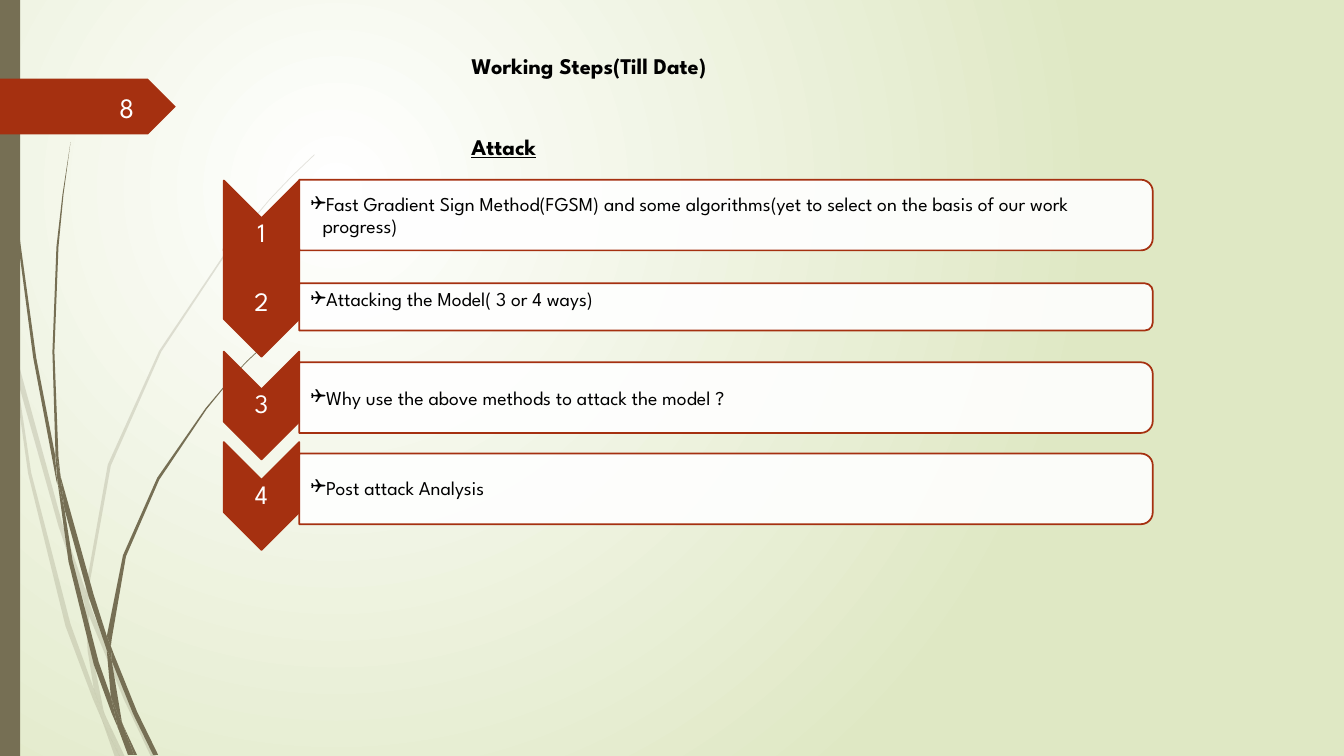
import lxml.etree
import pptx
import pptx.dml.color
import pptx.enum.shapes
import pptx.enum.text
import pptx.oxml.ns
import pptx.util

Cm = pptx.util.Cm
Pt = pptx.util.Pt
RGBColor = pptx.dml.color.RGBColor
SHAPE = pptx.enum.shapes.MSO_SHAPE
ALIGN = pptx.enum.text.PP_ALIGN
ANCHOR = pptx.enum.text.MSO_ANCHOR
qn = pptx.oxml.ns.qn

OLIVE = RGBColor(0x76, 0x6F, 0x54)
RUST = RGBColor(0xA5, 0x30, 0x10)
WHITE = RGBColor(0xFF, 0xFF, 0xFF)
BLACK = RGBColor(0, 0, 0)
PALE_GREEN = RGBColor(0xDF, 0xE8, 0xC4)
FONT = "League Spartan"

SLIDE_WIDTH, SLIDE_HEIGHT = 33.87, 19.05
WISP_UNIT = Cm(2.54) / 100

BACK_WISPS = [
    [(11, 350), (9, 322), (0, 282), (0, 299), (10, 344)],
    [(58, 522), (84, 599), (85, 586), (62, 520), (14, 345), (17, 376)],
    [(92, 607), (88, 596), (88, 610), (123, 694), (150, 751), (155, 751), (127, 692)],
    [(119, 751), (124, 751), (105, 711)],
    [(93, 683), (70, 619), (31, 469), (17, 376), (11, 350), (28, 470), (65, 621), (92, 693),
     (101, 714), (99, 707)],
    [(84, 599), (87, 646), (93, 683), (96, 692), (105, 711), (103, 706), (91, 646), (88, 610),
     (88, 608)],
    [(88, 584), (110, 462), (160, 349), (229, 245), (268, 198), (290, 175), (312, 154), (312, 153),
     (289, 175), (268, 197), (228, 244), (158, 348), (107, 461), (85, 584), (85, 586), (88, 596)],
    [(101, 714), (114, 751), (119, 751)],
    [(88, 608), (88, 610), (88, 596), (85, 586), (84, 599)],
    [(96, 692), (93, 683), (99, 707), (101, 714), (119, 751), (105, 711)],
]
FRONT_WISPS = [
    [(7, 110), (17, 233), (33, 355), (56, 477), (57, 481), (55, 457), (55, 453), (36, 355),
     (19, 232), (8, 109), (5, 48), (4, 0), (3, 0), (4, 48)],
    [(88, 592), (106, 645), (106, 633), (106, 631), (93, 590), (60, 472), (64, 505)],
    [(113, 649), (110, 641), (111, 656), (132, 708), (152, 749), (157, 749), (136, 706)],
    [(110, 691), (98, 657), (72, 556), (64, 505), (57, 477), (68, 557), (93, 659), (111, 708),
     (117, 722), (116, 717)],
    [(60, 472), (58, 453), (54, 349), (58, 245), (63, 193), (70, 141), (62, 193), (56, 245),
     (52, 349), (55, 449)],
    [(133, 749), (136, 749), (122, 719)],
    [(57, 477), (64, 505), (60, 472), (55, 449), (55, 453)],
    [(111, 633), (125, 552), (158, 476), (205, 406), (231, 374), (245, 359), (261, 344), (260, 344),
     (245, 358), (231, 373), (204, 405), (156, 474), (122, 551), (106, 631), (110, 641)],
    [(117, 722), (127, 749), (131, 749)],
    [(106, 645), (110, 691), (116, 706), (122, 719), (121, 716), (111, 656), (109, 651)],
    [(106, 645), (109, 651), (111, 656), (110, 641), (106, 631), (106, 633)],
    [(116, 706), (110, 691), (116, 717), (117, 722), (130, 749), (133, 749), (122, 719)],
]
STEPS = [
    ("Fast Gradient Sign Method(FGSM) and some algorithms(yet to select on the basis of our work progress)",
     4.55, 4.53, 1.78, 0.09, 0.03),
    ("Attacking the Model( 3 or 4 ways)", 6.27, 7.14, 1.19, 0.03, 0.35),
    ("Why use the above methods to attack the model ?", 8.86, 9.13, 1.78, 0.11, 0.03),
    ("Post attack Analysis", 11.14, 11.43, 1.78, 0.05, 0.03),
]


def paint(shape, color, opacity=100, outline=None):
    shape.shadow.inherit = False
    shape.fill.solid()
    shape.fill.fore_color.rgb = color
    if opacity < 100:
        tint = shape._element.spPr.find(qn("a:solidFill"))[0]
        lxml.etree.SubElement(tint, qn("a:alpha"), val=str(opacity * 1000))
    if outline is None:
        shape.line.fill.background()
    else:
        shape.line.color.rgb = outline
        shape.line.width = Pt(1.25)


def lay_out(frame, anchor, margins):
    frame.word_wrap = True
    frame.auto_size = pptx.enum.text.MSO_AUTO_SIZE.NONE
    frame.vertical_anchor = anchor
    frame.margin_left, frame.margin_top, frame.margin_right, frame.margin_bottom = map(Cm, margins)


def write(paragraph, words, size, color, align, bold=None, underline=None):
    paragraph.alignment = align
    run = paragraph.add_run()
    run.text = words
    run.font.name = FONT
    run.font.size = Pt(size)
    run.font.color.rgb = color
    run.font.bold = bold
    run.font.underline = underline


def text_box(slide, left, top, width, height, margins):
    frame = slide.shapes.add_textbox(Cm(left), Cm(top), Cm(width), Cm(height)).text_frame
    lay_out(frame, ANCHOR.MIDDLE, margins)
    return frame.paragraphs[0]


def indent(paragraph, left, first_line):
    properties = paragraph._p.get_or_add_pPr()
    properties.set("marL", str(Cm(left)))
    properties.set("indent", str(Cm(first_line)))
    return properties


def quarter_turned(slide, preset, left, top, width, height):
    unturned_left = left + (width - height) / 2
    unturned_top = top + (height - width) / 2
    shape = slide.shapes.add_shape(preset, Cm(unturned_left), Cm(unturned_top), Cm(height), Cm(width))
    shape.rotation = 90
    return shape


def backdrop(slide):
    fill = slide.background.fill
    fill.gradient()
    for stop, color, position in zip(fill.gradient_stops, (WHITE, PALE_GREEN), (0, 1)):
        stop.color.rgb = color
        stop.position = position
    gradient = slide._element.find(".//" + qn("a:gradFill"))
    circle = lxml.etree.Element(qn("a:path"), path="circle")
    lxml.etree.SubElement(circle, qn("a:fillToRect"), l="50000", t="50000", r="100000", b="100000")
    gradient.replace(gradient.find(qn("a:lin")), circle)


def side_decoration(slide, width, height):
    for wisps, opacity in ((BACK_WISPS, 20), (FRONT_WISPS, 100)):
        for corners in wisps:
            builder = slide.shapes.build_freeform(*corners[0], scale=WISP_UNIT)
            builder.add_line_segments(corners[1:], close=True)
            paint(builder.convert_to_shape(), OLIVE, opacity)
    band = slide.shapes.add_shape(SHAPE.RECTANGLE, 0, 0, Cm(width), Cm(height))
    paint(band, OLIVE)


def page_tag(slide, left, top, width, height):
    tag = slide.shapes.add_shape(SHAPE.PENTAGON, Cm(left), Cm(top), Cm(width), Cm(height))
    paint(tag, RUST)
    number = text_box(slide, left + 1.48, top + 0.22, 2.16, 1.02, (0.25, 0.13, 0.25, 0.13))
    write(number, "8", 20, WHITE, ALIGN.RIGHT)


def heading(slide, left, top, width, height):
    title = slide.shapes.title
    title.left, title.top, title.width, title.height = Cm(left), Cm(top), Cm(width), Cm(height)
    frame = title.text_frame
    lay_out(frame, ANCHOR.TOP, (0.25, 0.13, 0.25, 0.13))
    topic = frame.paragraphs[0]
    write(topic, "Working Steps(Till Date)", 16, BLACK, ALIGN.LEFT, bold=True)
    indent(topic, 3.72, 0)
    section = frame.add_paragraph()
    write(section, "Attack", 16, BLACK, ALIGN.LEFT, bold=True, underline=True)
    section.space_before = Pt(38.4)


def step_row(slide, number, step, left, marker_width, bar_width):
    words, marker_top, bar_top, bar_height, top_inset, bottom_inset = step
    marker = quarter_turned(slide, SHAPE.CHEVRON, left, marker_top, marker_width, 2.72)
    paint(marker, RUST, outline=RUST)
    digit = text_box(slide, left, marker_top + 0.95, marker_width, 0.81, (0.03,) * 4)
    write(digit, str(number), 19, WHITE, ALIGN.CENTER)
    digit.line_spacing = 0.9

    bar_left = left + marker_width
    bar = quarter_turned(slide, SHAPE.ROUND_2_SAME_RECTANGLE, bar_left, bar_top, bar_width, bar_height)
    paint(bar, WHITE, 90, RUST)
    item = text_box(slide, bar_left, bar_top + 0.06, bar_width - 0.1, bar_height - 0.12,
                    (0.29, top_inset, 0.03, bottom_inset))
    write(item, words, 14, BLACK, ALIGN.LEFT)
    item.level = 1
    item.line_spacing = 0.9
    properties = indent(item, 0.3, -0.3)
    lxml.etree.SubElement(properties, qn("a:buFont"), typeface="Wingdings")
    lxml.etree.SubElement(properties, qn("a:buChar"), char="❑")


def main():
    deck = pptx.Presentation()
    deck.slide_width, deck.slide_height = Cm(SLIDE_WIDTH), Cm(SLIDE_HEIGHT)
    slide = deck.slides.add_slide(deck.slide_layouts[5])
    backdrop(slide)
    side_decoration(slide, 0.51, SLIDE_HEIGHT)
    page_tag(slide, 0, 1.98, 4.43, 1.41)
    heading(slide, 7.91, 1.19, 16.38, 3)
    for number, step in enumerate(STEPS, 1):
        step_row(slide, number, step, 5.64, 1.9, 21.51)
    deck.save("out.pptx")


if __name__ == "__main__":
    main()
